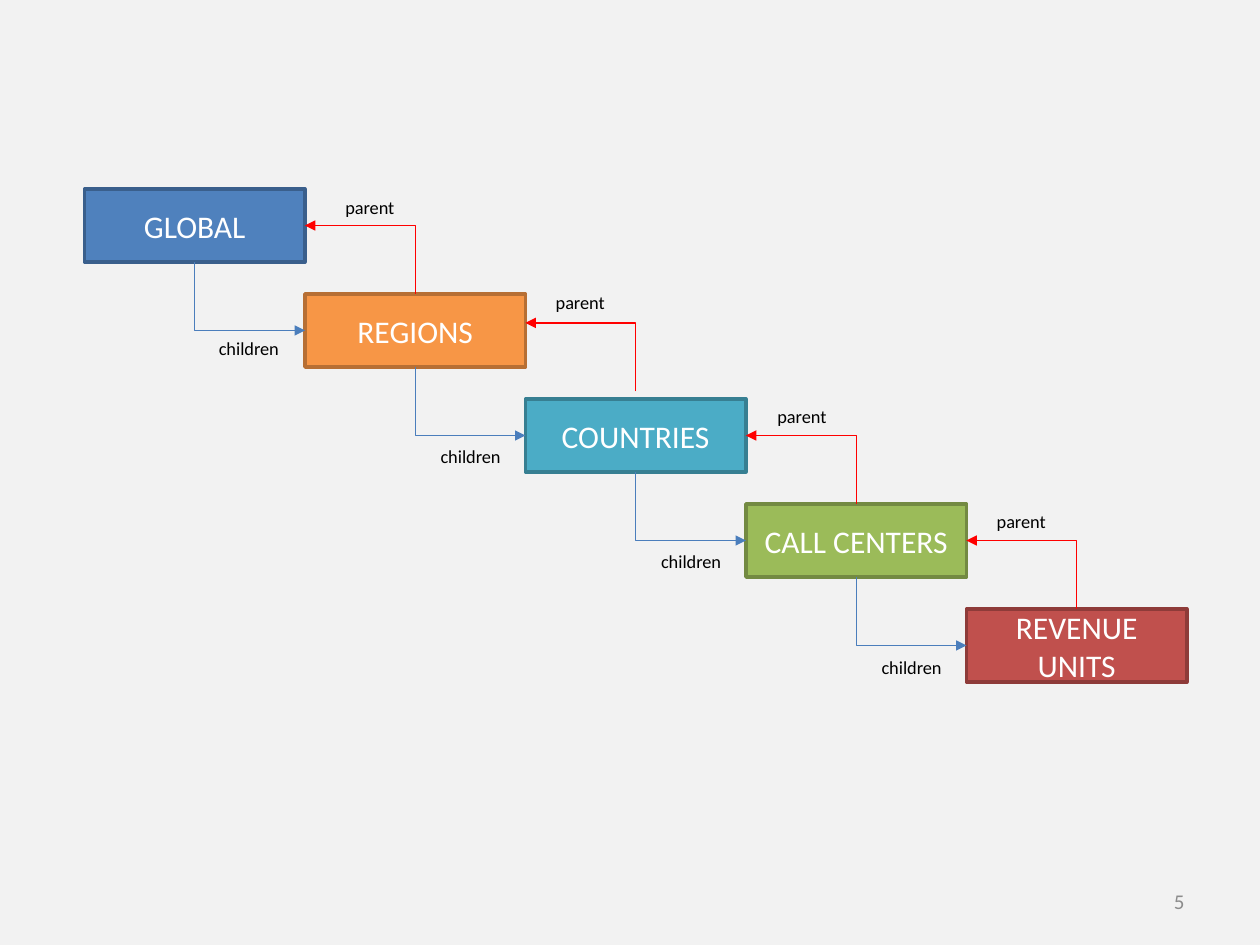
"""Build a slide with a staircase of five levels joined by parent and child arrows."""
from lxml.etree import SubElement
from pptx import Presentation
from pptx.dml.color import RGBColor
from pptx.enum.shapes import MSO_CONNECTOR as Link, MSO_SHAPE as Kind
from pptx.enum.text import MSO_ANCHOR as Anchor, PP_ALIGN as Align
from pptx.oxml.ns import qn
from pptx.util import Inches, Pt

LEVELS = [
    ("GLOBAL", "4F81BD", "3A5F8C"),
    ("REGIONS", "F79646", "B76F34"),
    ("COUNTRIES", "4BACC6", "377F92"),
    ("CALL CENTERS", "9BBB59", "738A42"),
    ("REVENUE UNITS", "C0504D", "8E3B39"),
]
CHILD_SPOTS = [(1.62, 2.63), (3.38, 3.48), (5.13, 4.32), (6.88, 5.16)]
PARENT_SPOTS = [(2.58, 1.51), (4.25, 2.26), (6.01, 3.17), (7.75, 4)]
PARENT_SHIFTS = [0, -0.06, 0, 0]
LEFT, TOP, WIDE, HIGH = 0.67, 1.5, 1.75, 0.58
RISE = 2.5 / 3 


def color(code):
    return RGBColor.from_string(code)


def write(shape, text, size=10.5, ink="000000", align=Align.CENTER, anchor=Anchor.TOP):
    frame = shape.text_frame
    frame.word_wrap = True
    frame.vertical_anchor = anchor
    par = frame.paragraphs[0]
    par.alignment = align
    run = par.add_run()
    run.text = text
    run.font.name = "Calibri"
    run.font.size = Pt(size)
    run.font.color.rgb = color(ink)


def label(slide, text, x, y, w=0.71, h=0.28, **style):
    box = slide.shapes.add_textbox(Inches(x), Inches(y), Inches(w), Inches(h))
    write(box, text, **style)


def block(slide, text, fill, edge, x, y):
    box = slide.shapes.add_shape(Kind.RECTANGLE, Inches(x), Inches(y), Inches(WIDE), Inches(HIGH))
    box.shadow.inherit = False
    box.fill.solid()
    box.fill.fore_color.rgb = color(fill)
    box.line.color.rgb = color(edge)
    box.line.width = Pt(2)
    write(box, text, size=18, ink="FFFFFF", anchor=Anchor.MIDDLE)


def bend(slide, start, end, ink, flip):
    """Draw an arrow that runs vertically, then sideways, as a quarter-turned elbow."""
    (x1, y1), (x2, y2) = start, end
    mid_x, mid_y = (x1 + x2) / 2, (y1 + y2) / 2
    half_w, half_h = abs(y2 - y1) / 2, abs(x2 - x1) / 2
    line = slide.shapes.add_connector(
        Link.ELBOW, Inches(mid_x - half_w), Inches(mid_y - half_h),
        Inches(mid_x + half_w), Inches(mid_y + half_h))
    line.line.color.rgb = color(ink)
    line.line.width = Pt(0.75)
    props = line._element.spPr
    props.find(qn("a:prstGeom")).set("prst", "bentConnector2")
    turn = props.find(qn("a:xfrm"))
    turn.set("rot", "16200000")
    turn.set(flip, "1")
    SubElement(props.find(qn("a:ln")), qn("a:tailEnd"), type="triangle")
    SubElement(props, qn("a:effectLst"))


def main():
    deck = Presentation()
    deck.slide_width, deck.slide_height = Inches(10), Inches(7.5)
    slide = deck.slides.add_slide(deck.slide_layouts[6])
    slide.background.fill.solid()
    slide.background.fill.fore_color.rgb = color("F2F2F2")

    spots = [(LEFT + i * WIDE, TOP + i * RISE) for i in range(len(LEVELS))]
    for level, (x, y) in zip(LEVELS, spots):
        block(slide, *level, x, y)
    for (x, y), (next_x, next_y), shift in zip(spots, spots[1:], PARENT_SHIFTS):
        bend(slide, (x + WIDE / 2, y + HIGH), (next_x, next_y + HIGH / 2), "4B7EBC", "flipH")
        bend(slide, (next_x + WIDE / 2, next_y + shift), (x + WIDE, y + HIGH / 2 + shift),
             "FF0000", "flipV")
    for text, places in (("children", CHILD_SPOTS), ("parent", PARENT_SPOTS)):
        for x, y in places:
            label(slide, text, x, y)
    label(slide, "5", 7.17, 6.95, 2.33, 0.4, size=12, ink="8C8C8C",
          align=Align.RIGHT, anchor=Anchor.MIDDLE)
    deck.save("out.pptx")


if __name__ == "__main__":
    main()
